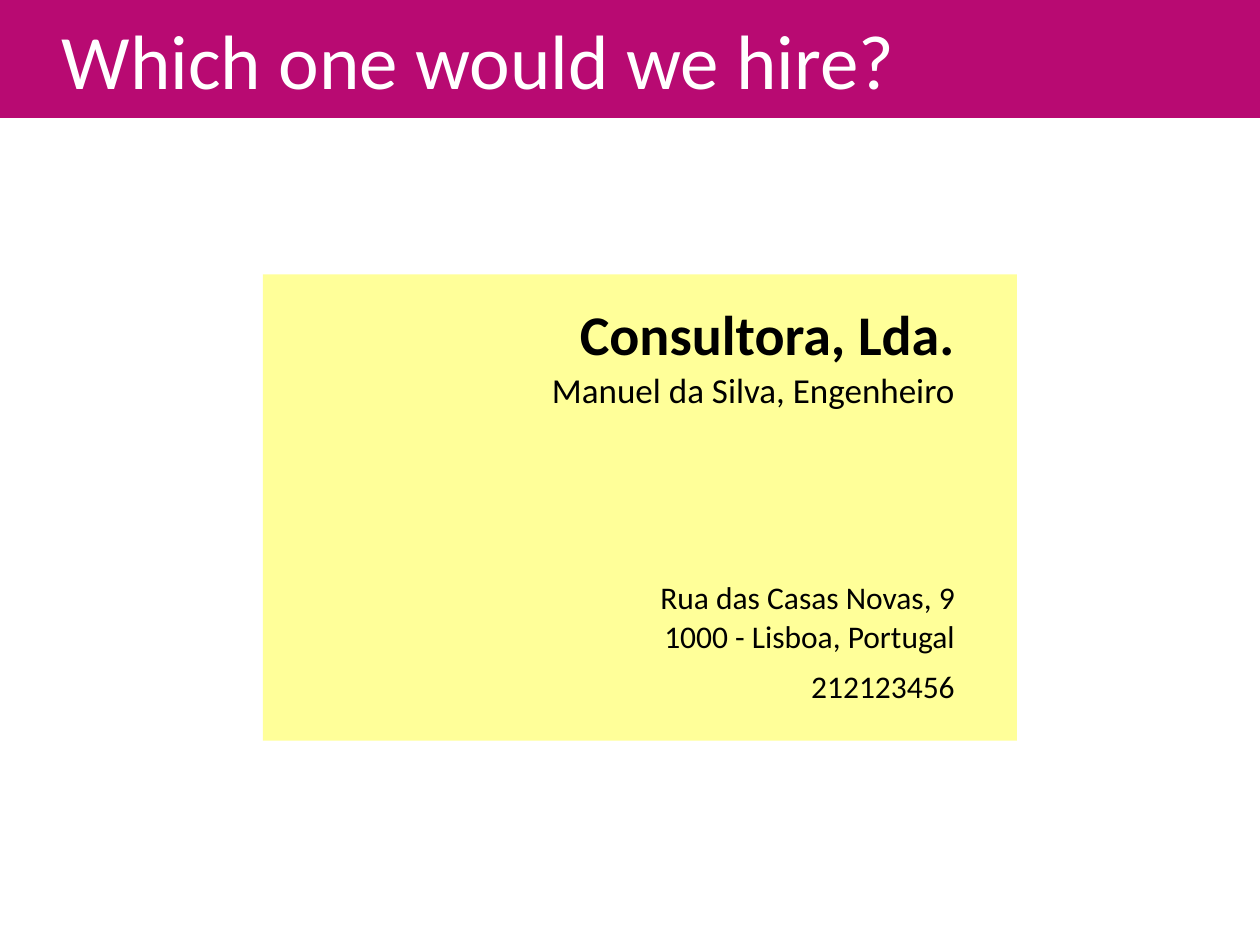
import pptx
import pptx.util
import pptx.dml.color
import pptx.enum.shapes
import pptx.enum.text

Cm = pptx.util.Cm
ALIGN = pptx.enum.text.PP_ALIGN
ANCHOR = pptx.enum.text.MSO_ANCHOR
MAGENTA = pptx.dml.color.RGBColor(0xB8, 0x0A, 0x72)
YELLOW = pptx.dml.color.RGBColor(0xFF, 0xFF, 0x99)
WHITE = pptx.dml.color.RGBColor(0xFF, 0xFF, 0xFF)
BLACK = pptx.dml.color.RGBColor(0x00, 0x00, 0x00)


def set_text(sp, text, size, color=BLACK, bold=False, align=ALIGN.LEFT, anchor=ANCHOR.TOP):
    tf = sp.text_frame
    tf.word_wrap = True
    tf.vertical_anchor = anchor
    p = tf.paragraphs[0]
    p.alignment = align
    r = p.add_run()
    r.text = text
    r.font.name = "Calibri"
    r.font.size = pptx.util.Pt(size)
    r.font.bold = bold
    r.font.color.rgb = color


def add_panel(s, left, top, width, height, color):
    sp = s.shapes.add_shape(pptx.enum.shapes.MSO_SHAPE.RECTANGLE,
                            Cm(left), Cm(top), Cm(width), Cm(height))
    sp.shadow.inherit = False
    sp.fill.solid()
    sp.fill.fore_color.rgb = color
    sp.line.fill.background()
    return sp


def add_title_bar(s, left, top, width, height, title):
    sp = add_panel(s, left, top, width, height, MAGENTA)
    sp.text_frame.margin_left = Cm(1.25)
    set_text(sp, title, 44, color=WHITE, anchor=ANCHOR.MIDDLE)


def add_business_card(s, left, top, width, height):
    add_panel(s, left, top, width, height, YELLOW)
    margin = 1
    # Offset from card top, line height, text, size, bold
    lines = [
        (0.38, 1.6, "Consultora, Lda.", 32, True),
        (1.78, 1.1, "Manuel da Silva, Engenheiro", 20, False),
        (6, 1.02, "Rua das Casas Novas, 9", 18, False),
        (6.78, 1.02, "1000 - Lisboa, Portugal", 18, False),
        (7.8, 1.02, "212123456", 18, False),
    ]
    for offset, line_height, text, size, bold in lines:
        box = s.shapes.add_textbox(Cm(left + margin), Cm(top + offset),
                                   Cm(width - 2 * margin), Cm(line_height))
        set_text(box, text, size, bold=bold, align=ALIGN.RIGHT)


def main():
    prs = pptx.Presentation()
    prs.slide_width, prs.slide_height = Cm(25.4), Cm(19.05)
    s = prs.slides.add_slide(prs.slide_layouts[6])
    # Title across the top, card in the middle
    add_title_bar(s, 0, 0, 25.4, 2.38, "Which one would we hire?")
    add_business_card(s, 5.3, 5.53, 15.2, 9.4)
    prs.save("out.pptx")


if __name__ == "__main__":
    main()
